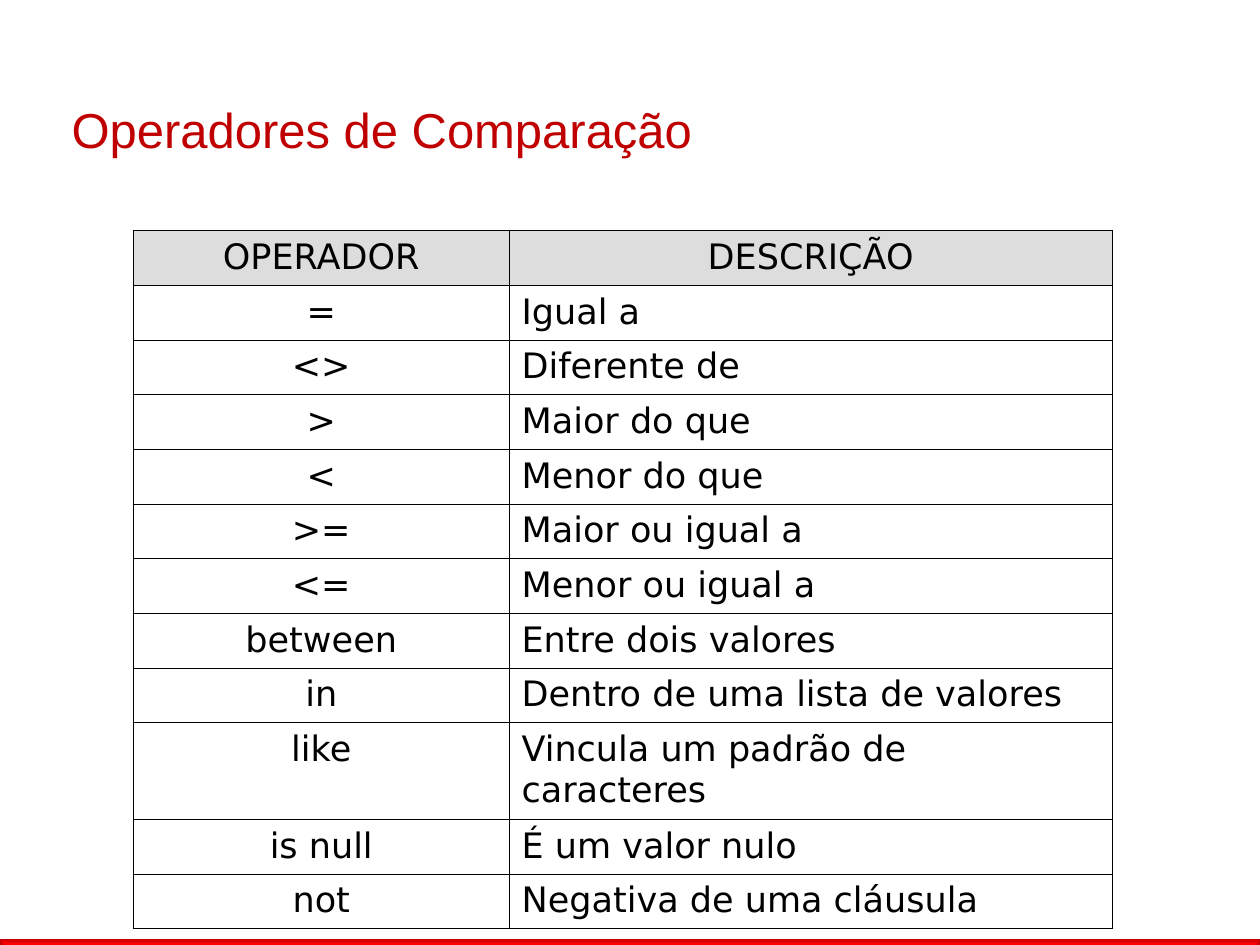
"""Build the slide on SQL comparison operators."""
from lxml import etree
from pptx import Presentation
from pptx import util as u
from pptx.dml.color import RGBColor
from pptx.enum import shapes, text
from pptx.oxml.ns import qn

TITLE = "Operadores de Comparação"
ROWS = [
    ("OPERADOR", "DESCRIÇÃO"),
    ("=", "Igual a"),
    ("<>", "Diferente de"),
    (">", "Maior do que"),
    ("<", "Menor do que"),
    (">=", "Maior ou igual a"),
    ("<=", "Menor ou igual a"),
    ("between", "Entre dois valores"),
    ("in", "Dentro de uma lista de valores"),
    ("like", "Vincula um padrão de caracteres"),
    ("is null", "É um valor nulo"),
    ("not", "Negativa de uma cláusula"),
]
WIDTHS = (2.98, 4.79)
TABLE_HEIGHT = 5.2
THIN, THICK = 0.45, 1.08


def color(value):
    return RGBColor.from_string(value)


def write(frame, words, font, size, tint):
    frame.text = words
    para = frame.paragraphs[0]
    span = para.runs[0]
    span.font.name = font
    span.font.size = u.Pt(size)
    span.font.color.rgb = color(tint)
    return para


def add_bar(page):
    bar = page.shapes.add_shape(
        shapes.MSO_SHAPE.RECTANGLE,
        u.Inches(0), u.Inches(7.45), u.Inches(10), u.Inches(0.08))
    bar.shadow.inherit = False
    bar.line.fill.background()
    bar.fill.gradient()
    for stop, tint in zip(bar.fill.gradient_stops, ("FF0000", "C00000")):
        stop.color.rgb = color(tint)
    gradient = bar._element.spPr.find(qn("a:gradFill"))
    gradient.remove(gradient.find(qn("a:lin")))
    center = etree.SubElement(gradient, qn("a:path"), {"path": "rect"})
    etree.SubElement(center, qn("a:fillToRect"), dict.fromkeys("ltrb", "50000"))


def add_title(page):
    box = page.shapes.add_textbox(
        u.Inches(0.47), u.Inches(0.63), u.Inches(9), u.Inches(0.79))
    frame = box.text_frame
    frame.word_wrap = True
    frame.vertical_anchor = text.MSO_ANCHOR.MIDDLE
    write(frame, TITLE, "Arial", 28, "C00000")


def set_borders(cell, widths):
    properties = cell._tc.get_or_add_tcPr()
    for index, (side, width) in enumerate(zip("LRTB", widths)):
        line = etree.Element(qn(f"a:ln{side}"), {"w": str(u.Pt(width))})
        fill = etree.SubElement(line, qn("a:solidFill"))
        etree.SubElement(fill, qn("a:srgbClr"), {"val": "000000"})
        properties.insert(index, line)


def add_operators(page):
    table = page.shapes.add_table(
        len(ROWS), len(WIDTHS), u.Inches(1.06), u.Inches(1.83),
        u.Inches(sum(WIDTHS)), u.Inches(TABLE_HEIGHT)).table
    for column, width in zip(table.columns, WIDTHS):
        column.width = u.Inches(width)
    last_row, last_column = len(ROWS) - 1, len(WIDTHS) - 1
    for r, row in enumerate(ROWS):
        for c, words in enumerate(row):
            cell = table.cell(r, c)
            para = write(cell.text_frame, words, "DejaVu Sans", 20, "000000")
            para.space_before = u.Pt(5)
            para.font.bold = False
            para.runs[0].font.bold = False
            centered = r == 0 or c == 0
            para.alignment = text.PP_ALIGN.CENTER if centered else text.PP_ALIGN.LEFT
            if r == 0:
                cell.fill.solid()
                cell.fill.fore_color.rgb = color("DDDDDD")
            else:
                cell.fill.background()
            outer = (c == 0, c == last_column, r == 0, r == last_row)
            set_borders(cell, [THICK if edge else THIN for edge in outer])


def main():
    deck = Presentation()
    deck.slide_width, deck.slide_height = u.Inches(10), u.Inches(7.5)
    page = deck.slides.add_slide(deck.slide_layouts[6])
    add_bar(page)
    add_title(page)
    add_operators(page)
    deck.save("out.pptx")


if __name__ == "__main__":
    main()
